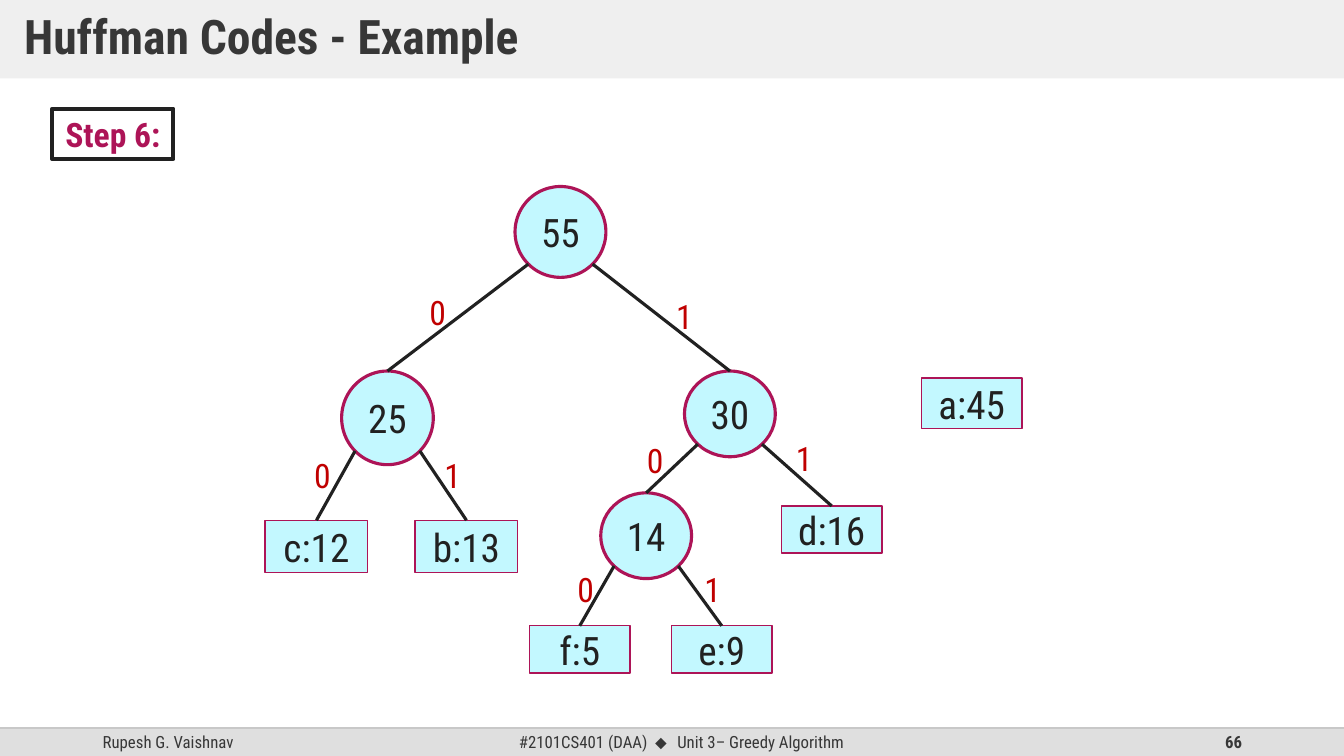
import pptx
import pptx.dml.color
import pptx.enum.shapes
import pptx.enum.text
import pptx.util
import math
from dataclasses import dataclass
from lxml import etree

Cm, Pt = pptx.util.Cm, pptx.util.Pt
SHAPE = pptx.enum.shapes.MSO_SHAPE
ALIGN = pptx.enum.text.PP_ALIGN
ANCHOR = pptx.enum.text.MSO_ANCHOR


@dataclass(frozen=True)
class Theme:
    font: str = "Roboto Condensed"
    symbol_font: str = "Arial"
    heading: str = "373737"
    ink: str = "212121"
    accent: str = "AD1457"
    bit: str = "C00000"
    node: str = "C3F8FF"
    title_band: str = "EFEFEF"
    footer_band: str = "DFDFDF"
    footer_rule: str = "C8C8C8"
    title_size: float = 34
    node_size: float = 28
    label_size: float = 24
    footer_size: float = 12


theme = Theme()

# Content, lengths in centimetres
WIDTH, HEIGHT = 33.87, 19.05
TITLE, TITLE_HEIGHT = "Huffman Codes - Example", 1.98
STEP, STEP_AREA = "Step 6:", (1.32, 2.74, 3.05, 1.27)
FOOTER_TOP = 18.34
FOOTER = [  # text pieces, left, width, alignment, bold
    (["Rupesh G. Vaishnav"], 2.34, 7.62, ALIGN.LEFT, False),
    (["#2101CS401 (DAA)", " ⬥ ", "Unit 3– Greedy Algorithm"],
     11.23, 11.89, ALIGN.CENTER, False),
    (["66"], 23.93, 7.62, ALIGN.RIGHT, True),
]
INNER_NODES = {  # left, top, width, height
    "55": (12.98, 4.70, 2.29, 2.29),
    "25": (8.61, 9.35, 2.31, 2.36),
    "30": (17.25, 9.35, 2.29, 2.16),
    "14": (15.14, 12.42, 2.29, 2.16),
}
LEAVES = {
    "a:45": (23.22, 9.53, 2.54, 1.27),
    "c:12": (6.68, 13.11, 2.59, 1.32),
    "b:13": (10.46, 13.11, 2.59, 1.32),
    "d:16": (19.69, 12.75, 2.54, 1.19),
    "f:5": (13.34, 15.77, 2.54, 1.19),
    "e:9": (16.92, 15.77, 2.54, 1.19),
}
EDGES = [  # parent, child, bit, left and top of the bit
    ("55", "25", "0", 10.57, 7.24),
    ("55", "30", "1", 16.79, 7.32),
    ("25", "c:12", "0", 7.67, 11.35),
    ("25", "b:13", "1", 10.95, 11.35),
    ("30", "14", "0", 16.05, 10.95),
    ("30", "d:16", "1", 19.81, 10.90),
    ("14", "f:5", "0", 14.30, 14.20),
    ("14", "e:9", "1", 17.50, 14.20),
]
BIT_WIDTH, BIT_HEIGHT = 1.02, 1.27

deck = pptx.Presentation()
deck.slide_width, deck.slide_height = Cm(WIDTH), Cm(HEIGHT)
page = deck.slides.add_slide(deck.slide_layouts[6])


def color(code):
    return pptx.dml.color.RGBColor.from_string(code)


def write(box, pieces, size, ink, align=ALIGN.CENTER, bold=False, anchor=ANCHOR.MIDDLE):
    frame = box.text_frame
    frame.word_wrap = True
    frame.vertical_anchor = anchor
    para = frame.paragraphs[0]
    para.alignment = align
    para.font.name, para.font.size, para.font.bold = theme.font, Pt(size), bold
    para.font.color.rgb = color(ink)
    for piece in pieces:
        para.add_run().text = piece
    return para


def add_box(kind, area, fill=None, line=None, weight=1):
    box = page.shapes.add_shape(kind, *map(Cm, area))
    box.shadow.inherit = False
    if fill:
        box.fill.solid()
        box.fill.fore_color.rgb = color(fill)
    else:
        box.fill.background()
    if line:
        box.line.color.rgb = color(line)
        box.line.width = Pt(weight)
    else:
        box.line.fill.background()
    return box


def add_line(start, end, ink, weight):
    line = page.shapes.add_connector(
        pptx.enum.shapes.MSO_CONNECTOR.STRAIGHT, *map(Cm, (*start, *end)))
    line.line.color.rgb = color(ink)
    line.line.width = Pt(weight)
    etree.SubElement(line._element.spPr, pptx.oxml.ns.qn("a:effectLst"))
    return line


# Footer
add_box(SHAPE.RECTANGLE, (0, FOOTER_TOP, WIDTH, HEIGHT - FOOTER_TOP), theme.footer_band)
for pieces, left, width, align, bold in FOOTER:
    box = page.shapes.add_textbox(
        *map(Cm, (left, FOOTER_TOP, width, HEIGHT - FOOTER_TOP)))
    para = write(box, pieces, theme.footer_size, theme.heading, align, bold)
    for span in para.runs:
        if "⬥" in span.text:
            span.font.name = theme.symbol_font
            span._r.get_or_add_rPr().set("spc", "200")
add_line((0, FOOTER_TOP), (WIDTH, FOOTER_TOP), theme.footer_rule, 1)

# Title and step
title = add_box(SHAPE.RECTANGLE, (0, 0, WIDTH, TITLE_HEIGHT), theme.title_band)
para = write(title, [TITLE], theme.title_size, theme.heading, ALIGN.LEFT, True)
para.line_spacing = 0.9
title.text_frame.margin_left = title.text_frame.margin_right = Cm(0.61)
title.text_frame.margin_top = title.text_frame.margin_bottom = Cm(0.3)

step = add_box(SHAPE.RECTANGLE, STEP_AREA, line=theme.ink, weight=3)
write(step, [STEP], theme.label_size, theme.accent, bold=True)

# Tree nodes
nodes = {}
for kind, group, weight in ((SHAPE.OVAL, INNER_NODES, 2.25), (SHAPE.RECTANGLE, LEAVES, 1)):
    for name, area in group.items():
        nodes[name] = add_box(kind, area, theme.node, theme.accent, weight)
        write(nodes[name], [name], theme.node_size, theme.ink)

# Tree edges: from the lower diagonal of the parent to the top of the child
for parent, child, bit, bit_left, bit_top in EDGES:
    left, top, width, height = INNER_NODES[parent]
    side = -1 if bit == "0" else 1
    reach = math.sqrt(0.5) / 2
    start = (left + width * (0.5 + side * reach), top + height * (0.5 + reach))
    edge = add_line(start, start, theme.ink, 2.25)
    edge.end_connect(nodes[child], 0)
    label = page.shapes.add_textbox(
        *map(Cm, (bit_left, bit_top, BIT_WIDTH, BIT_HEIGHT)))
    write(label, [bit], theme.label_size, theme.bit, ALIGN.LEFT, anchor=ANCHOR.TOP)

deck.save("out.pptx")
